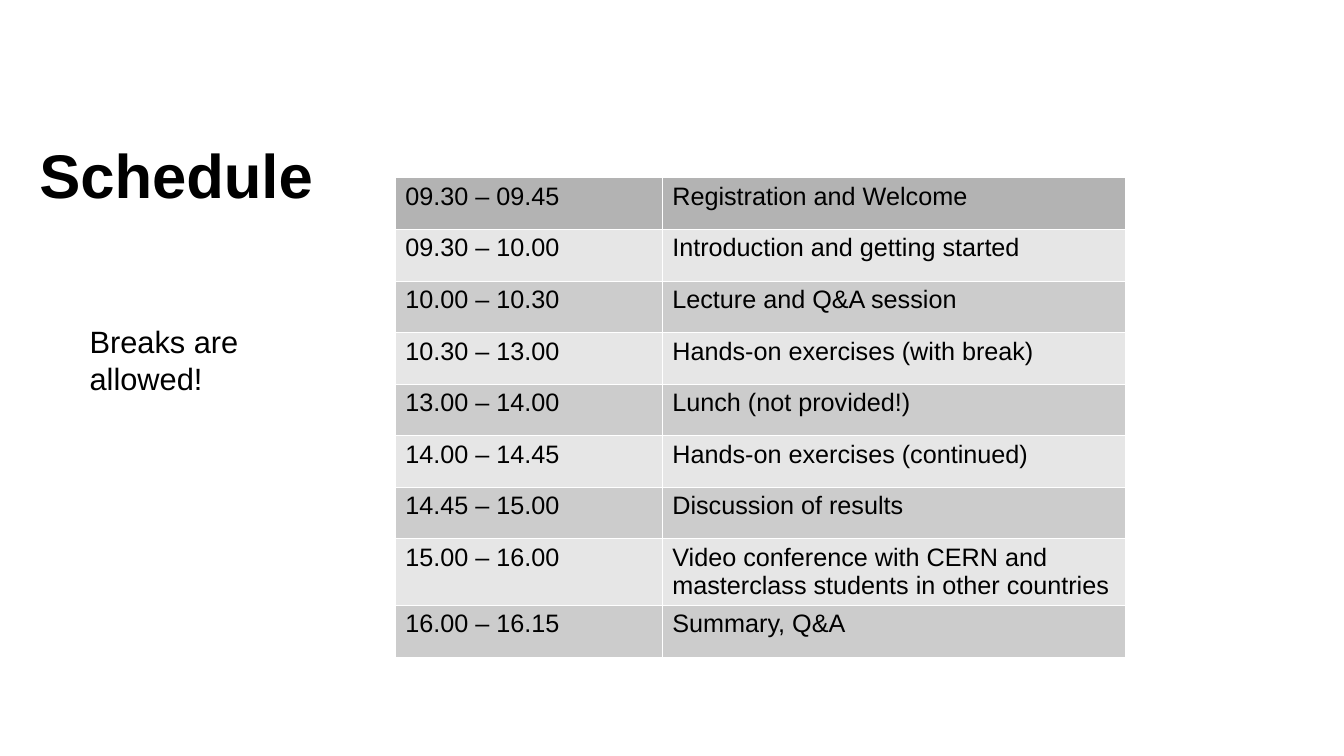
from dataclasses import dataclass

import pptx
import pptx.dml.color
import pptx.enum.text
import pptx.oxml
import pptx.oxml.ns
import pptx.util

Cm = pptx.util.Cm
Pt = pptx.util.Pt
RGBColor = pptx.dml.color.RGBColor
MSO_ANCHOR = pptx.enum.text.MSO_ANCHOR
PP_ALIGN = pptx.enum.text.PP_ALIGN

BLACK = RGBColor(0x00, 0x00, 0x00)
WHITE = RGBColor(0xFF, 0xFF, 0xFF)
HEADER_GREY = RGBColor(0xB3, 0xB3, 0xB3)
BAND_GREYS = (RGBColor(0xCC, 0xCC, 0xCC), RGBColor(0xE6, 0xE6, 0xE6))

FONT = "Arial"
COLUMN_WIDTHS = (Cm(6.73), Cm(11.66))
ROW_HEIGHT = Cm(1.3)
BORDER_WIDTH = Pt(0.06)

TITLE_FORMAT = {"size": Pt(44), "name": FONT, "bold": True}
NOTE_FORMAT = {"size": Pt(22), "name": FONT}
CELL_FORMAT = {"size": Pt(18), "name": FONT}


@dataclass(frozen=True)
class Session:
    time: str
    topic: str


SESSIONS = [
    Session("09.30 – 09.45", "Registration and Welcome"),
    Session("09.30 – 10.00", "Introduction and getting started"),
    Session("10.00 – 10.30", "Lecture and Q&A session"),
    Session("10.30 – 13.00", "Hands-on exercises (with break)"),
    Session("13.00 – 14.00", "Lunch (not provided!)"),
    Session("14.00 – 14.45", "Hands-on exercises (continued)"),
    Session("14.45 – 15.00", "Discussion of results"),
    Session(
        "15.00 – 16.00",
        "Video conference with CERN and masterclass students in other countries",
    ),
    Session("16.00 – 16.15", "Summary, Q&A"),
]


def write_text(tf, text: str, font_format: dict) -> None:
    p = tf.paragraphs[0]
    p.alignment = PP_ALIGN.LEFT
    r = p.add_run()
    r.text = text
    for name, value in font_format.items():
        setattr(r.font, name, value)
    r.font.color.rgb = BLACK


def add_borders(cell) -> None:
    tcPr = cell._tc.get_or_add_tcPr()
    for side in ("lnL", "lnR", "lnT", "lnB"):
        tcPr.append(pptx.oxml.parse_xml(
            f'<a:{side} {pptx.oxml.ns.nsdecls("a")} w="{BORDER_WIDTH}">'
            f'<a:solidFill><a:srgbClr val="{WHITE}"/></a:solidFill></a:{side}>'
        ))


def add_title(slide, text: str) -> None:
    sp = slide.shapes.title
    box = {"left": Cm(0.99), "top": Cm(2.49), "width": Cm(8.48), "height": Cm(3.78)}
    for name, value in box.items():
        setattr(sp, name, value)
    tf = sp.text_frame
    frame = {
        "margin_left": 0, "margin_right": 0, "margin_top": 0, "margin_bottom": 0,
        "vertical_anchor": MSO_ANCHOR.MIDDLE, "word_wrap": True,
    }
    for name, value in frame.items():
        setattr(tf, name, value)
    write_text(tf, text, TITLE_FORMAT)


def add_note(slide, text: str) -> None:
    sp = slide.shapes.add_textbox(Cm(2.01), Cm(8), Cm(5.49), Cm(1.98))
    sp.text_frame.word_wrap = True
    write_text(sp.text_frame, text, NOTE_FORMAT)


def add_schedule(slide, sessions: list[Session]) -> None:
    table = slide.shapes.add_table(
        len(sessions), len(COLUMN_WIDTHS), Cm(9.96), Cm(4.47),
        sum(COLUMN_WIDTHS), ROW_HEIGHT * len(sessions),
    ).table
    for column, width in zip(table.columns, COLUMN_WIDTHS):
        column.width = width
    for i, session in enumerate(sessions):
        table.rows[i].height = ROW_HEIGHT
        fill = BAND_GREYS[i % 2] if i else HEADER_GREY
        for cell, text in zip(table.rows[i].cells, (session.time, session.topic)):
            add_borders(cell)
            cell.fill.solid()
            cell.fill.fore_color.rgb = fill
            write_text(cell.text_frame, text, CELL_FORMAT | {"bold": False})


def main() -> None:
    prs = pptx.Presentation()
    prs.slide_width, prs.slide_height = Cm(33.87), Cm(19.05)
    slide = prs.slides.add_slide(prs.slide_layouts[5])
    add_title(slide, "Schedule")
    add_schedule(slide, SESSIONS)
    add_note(slide, "Breaks are allowed!")
    prs.save("out.pptx")


if __name__ == "__main__":
    main()
